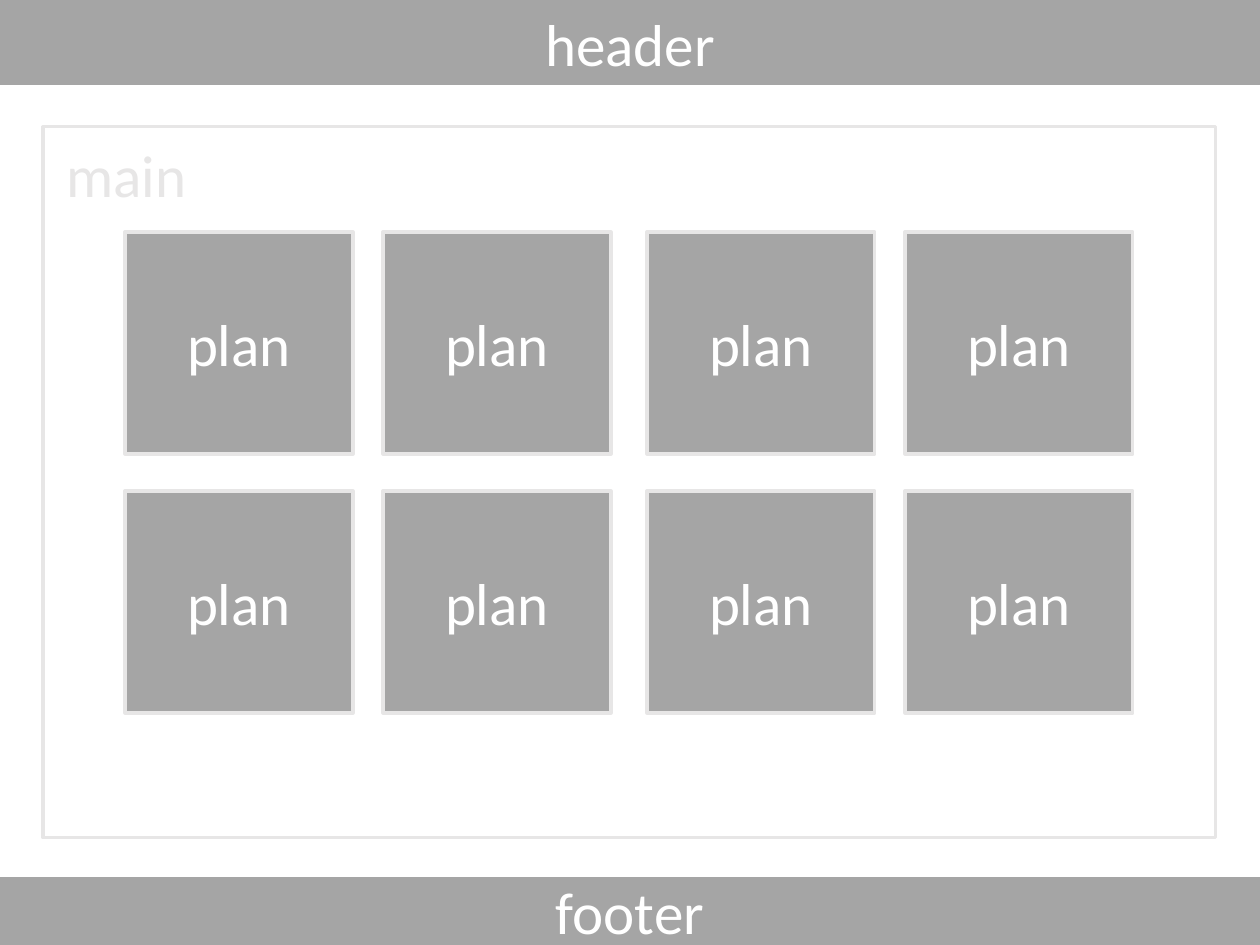
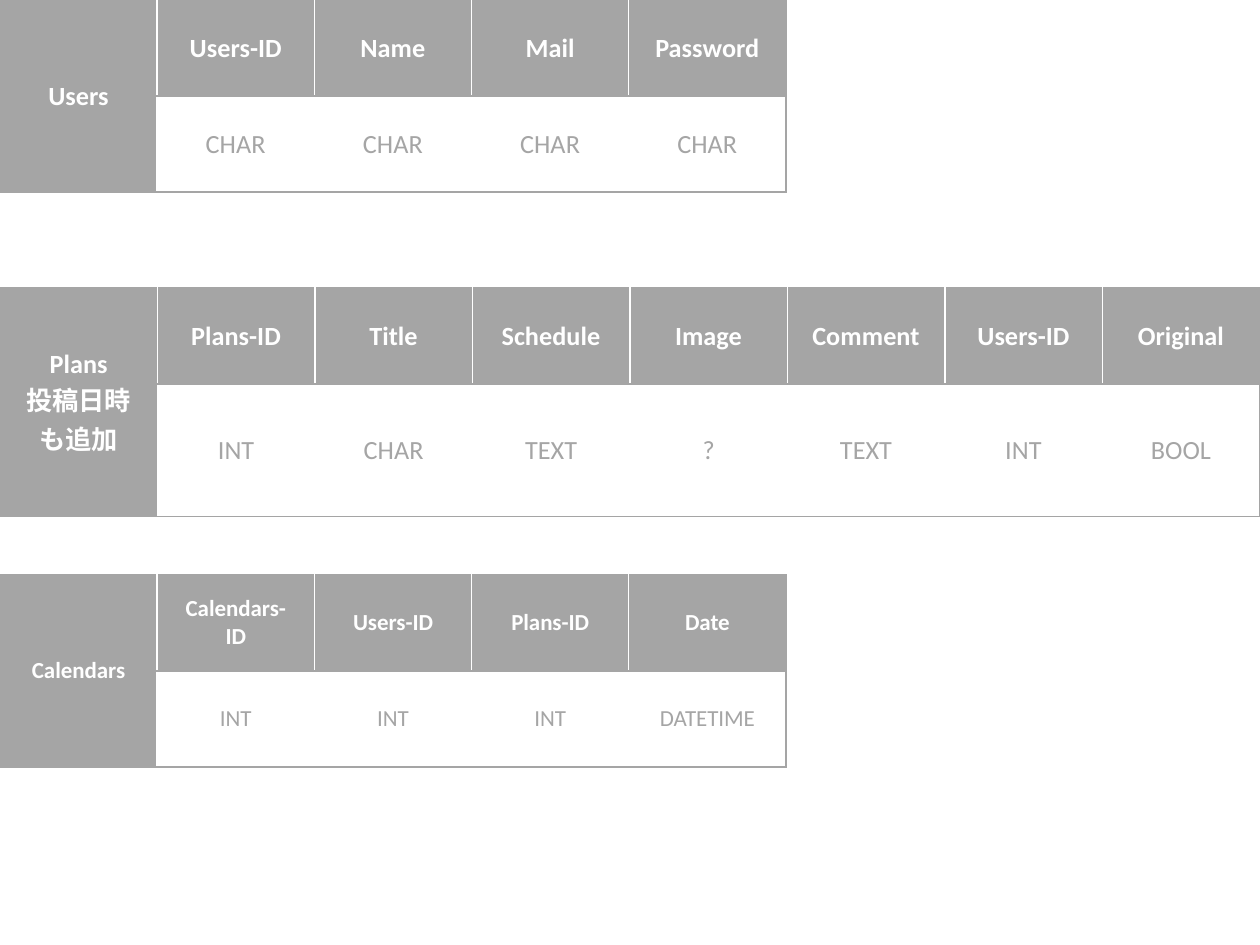
from pptx import Presentation
from pptx.dml.color import RGBColor
from pptx.enum.shapes import MSO_SHAPE
from pptx.enum.text import MSO_ANCHOR, PP_ALIGN
from pptx.oxml import parse_xml
from pptx.oxml.ns import nsdecls
from pptx.util import Inches, Pt

GRAY = RGBColor(0xA5, 0xA5, 0xA5)
PALE = RGBColor(0xE7, 0xE6, 0xE6)
WHITE = RGBColor(0xFF, 0xFF, 0xFF)
FONT = "Calibri"
PAGE_WIDTH, PAGE_HEIGHT = 1260, 945
EMU_PER_PIXEL = Inches(4) / PAGE_HEIGHT

BANDS = [("header", 0, 85), ("footer", 877, 68)]
FRAME = ("main", 43, 127, 1173, 711)
PLAN_LEFTS = [125, 383, 647, 905]
PLAN_TOPS = [232, 491]
PLAN_WIDTH, PLAN_HEIGHT = 228, 222

ROW_HEIGHT = 96
SCHEMAS = [
    {"name": "Users", "top": 0, "width": 786, "size": 8,
     "fields": [("Users-ID", "CHAR"), ("Name", "CHAR"), ("Mail", "CHAR"),
                ("Password", "CHAR")]},
    {"name": "Plans\n投稿日時も追加", "top": 288, "width": 1260, "size": 8,
     "fields": [("Plans-ID", "INT"), ("Title", "CHAR"), ("Schedule", "TEXT"),
                ("Image", "?"), ("Comment", "TEXT"), ("Users-ID", "INT"),
                ("Original", "BOOL")]},
    {"name": "Calendars", "top": 575, "width": 786, "size": 7,
     "fields": [("Calendars-ID", "INT"), ("Users-ID", "INT"),
                ("Plans-ID", "INT"), ("Date", "DATETIME")]},
]


def px(pixels):
    """Turn pixels into EMU."""
    return round(pixels * EMU_PER_PIXEL)


def write(frame, text, size, color, bold=False, align=PP_ALIGN.CENTER):
    """Fill a text frame and format its runs."""
    frame.text = text
    for para in frame.paragraphs:
        para.alignment = align
        for span in para.runs:
            span.font.name = FONT
            span.font.size = Pt(size)
            span.font.bold = bold
            span.font.color.rgb = color


def add_box(page, text, left, top, width, height, fill=GRAY, line=PALE):
    """Add a rectangle with centred white text."""
    box = page.shapes.add_shape(MSO_SHAPE.RECTANGLE, px(left), px(top),
                                px(width), px(height))
    box.shadow.inherit = False
    if fill is None:
        box.fill.background()
    else:
        box.fill.solid()
        box.fill.fore_color.rgb = fill
    if line is None:
        box.line.fill.background()
    else:
        box.line.color.rgb = line
        box.line.width = Pt(1)
    box.text_frame.vertical_anchor = MSO_ANCHOR.MIDDLE
    write(box.text_frame, text, 18, WHITE)
    return box


def set_borders(cell, **colors):
    """Draw half-point borders on the four sides of a cell."""
    properties = cell._tc.get_or_add_tcPr()
    for index, side in enumerate("LRTB"):
        properties.insert(index, parse_xml(
            f'<a:ln{side} {nsdecls("a")} w="6350"><a:solidFill>'
            f'<a:srgbClr val="{colors[side]}"/></a:solidFill></a:ln{side}>'))


def add_schema(page, schema):
    """Add a table with a name cell, field names and field types."""
    names, kinds = zip(*schema["fields"])
    rows = [(schema["name"], *names), ("", *kinds)]
    count = len(rows[0])
    table = page.shapes.add_table(2, count, 0, px(schema["top"]), px(schema["width"]),
                                  px(2 * ROW_HEIGHT)).table
    table.first_row = table.horz_banding = False
    for column in table.columns:
        column.width = px(schema["width"]) // count
    for y, texts in enumerate(rows):
        table.rows[y].height = px(ROW_HEIGHT)
        for x, text in enumerate(texts):
            cell = table.cell(y, x)
            heading = y == 0 or x == 0
            cell.fill.solid()
            cell.fill.fore_color.rgb = GRAY if heading else WHITE
            cell.vertical_anchor = MSO_ANCHOR.MIDDLE
            write(cell.text_frame, text, schema["size"],
                  WHITE if heading else GRAY, heading)
            set_borders(cell, L=GRAY if x == 0 else WHITE,
                        R=GRAY if x == count - 1 else WHITE, T=GRAY, B=GRAY)
    table.cell(0, 0).merge(table.cell(1, 0))


deck = Presentation()
deck.slide_width, deck.slide_height = px(PAGE_WIDTH), px(PAGE_HEIGHT)
blank = deck.slide_layouts[6]

wireframe = deck.slides.add_slide(blank)
for label, top, height in BANDS:
    add_box(wireframe, label, 0, top, PAGE_WIDTH, height, line=None)
main = add_box(wireframe, *FRAME, fill=None)
main.text_frame.vertical_anchor = MSO_ANCHOR.TOP
write(main.text_frame, FRAME[0], 18, PALE, align=PP_ALIGN.LEFT)
for top in PLAN_TOPS:
    for left in PLAN_LEFTS:
        add_box(wireframe, "plan", left, top, PLAN_WIDTH, PLAN_HEIGHT)

database = deck.slides.add_slide(blank)
for schema in SCHEMAS:
    add_schema(database, schema)

deck.save("out.pptx")
